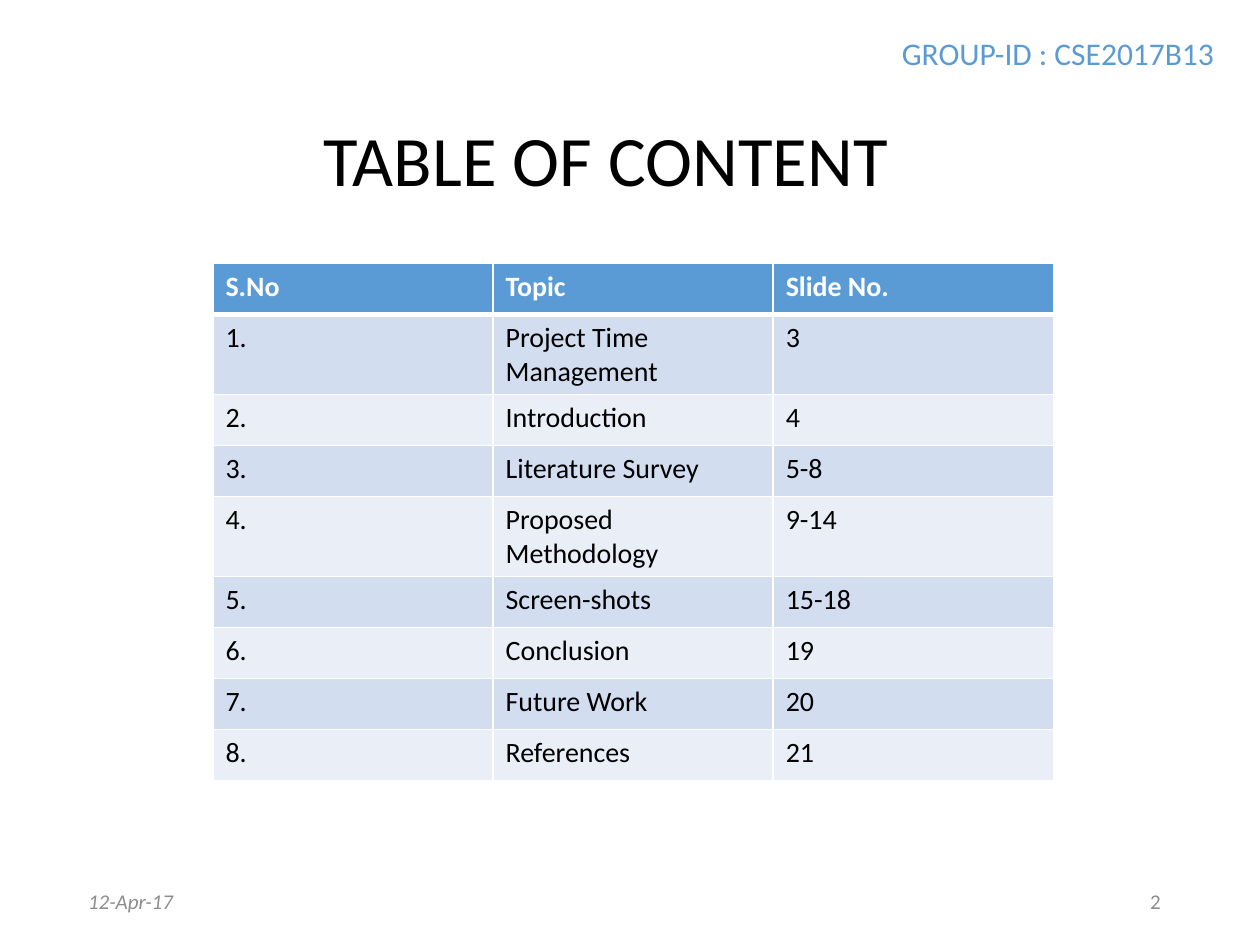
from dataclasses import dataclass

from lxml.etree import SubElement
from pptx import Presentation
from pptx.dml.color import RGBColor
from pptx.enum.text import MSO_ANCHOR, PP_ALIGN
from pptx.oxml.ns import qn
from pptx.util import Inches, Pt

BLUE = RGBColor(0x5B, 0x9B, 0xD5)
DARK_BAND = RGBColor(0xD2, 0xDE, 0xEF)
LIGHT_BAND = RGBColor(0xEA, 0xEF, 0xF7)
GRAY = RGBColor(0x8C, 0x8C, 0x8C)
BLACK = RGBColor(0, 0, 0)
WHITE = RGBColor(255, 255, 255)
FONT = "Calibri"


@dataclass
class Label:
    text: str
    left: float
    top: float
    width: float
    height: float
    size: float
    color: RGBColor
    align: PP_ALIGN = PP_ALIGN.LEFT
    anchor: MSO_ANCHOR = MSO_ANCHOR.MIDDLE
    italic: bool = False


@dataclass
class Entry:
    topic: str
    pages: str


LABELS = [
    Label("GROUP-ID : CSE2017B13", 7.06, 0.22, 2.73, 0.4, 18, BLUE,
          align=PP_ALIGN.JUSTIFY, anchor=MSO_ANCHOR.TOP),
    Label("12-Apr-17", 0.6, 7, 1.75, 0.3, 12, GRAY, italic=True),
    Label("2", 7.06, 6.95, 2.25, 0.4, 12, GRAY, align=PP_ALIGN.RIGHT),
]
HEADINGS = ["S.No", "Topic", "Slide No."]
ENTRIES = [
    Entry("Project Time Management", "3"),
    Entry("Introduction", "4"),
    Entry("Literature Survey", "5-8"),
    Entry("Proposed Methodology", "9-14"),
    Entry("Screen-shots", "15-18"),
    Entry("Conclusion", "19"),
    Entry("Future Work", "20"),
    Entry("References", "21"),
]


def write(frame, text: str, *, size: float, color: RGBColor,
          align: PP_ALIGN = PP_ALIGN.LEFT, bold: bool = False,
          italic: bool = False, spacing: float = 1.0) -> None:
    paragraph = frame.paragraphs[0]
    paragraph.alignment = align
    paragraph.line_spacing = spacing
    run = paragraph.add_run()
    run.text = text
    run.font.name = FONT
    run.font.size = Pt(size)
    run.font.bold = bold
    run.font.italic = italic
    run.font.color.rgb = color


def add_label(slide, label: Label) -> None:
    box = slide.shapes.add_textbox(Inches(label.left), Inches(label.top),
                                   Inches(label.width), Inches(label.height))
    box.text_frame.word_wrap = True
    box.text_frame.vertical_anchor = label.anchor
    write(box.text_frame, label.text, size=label.size, color=label.color,
          align=label.align, italic=label.italic)


def add_title(slide, text: str) -> None:
    title = slide.shapes.title
    title.left, title.top = Inches(2.23), Inches(0.56)
    title.width, title.height = Inches(5.16), Inches(1.09)
    title.text_frame.word_wrap = True
    title.text_frame.vertical_anchor = MSO_ANCHOR.BOTTOM
    write(title.text_frame, text, size=40.5, color=BLACK,
          align=PP_ALIGN.CENTER, spacing=0.9)


def set_borders(cell, top: float, bottom: float) -> None:
    properties = cell._tc.get_or_add_tcPr()
    for side, width in (("L", 1), ("R", 1), ("T", top), ("B", bottom)):
        line = SubElement(properties, qn(f"a:ln{side}"), w=str(Pt(width)))
        fill = SubElement(line, qn("a:solidFill"))
        SubElement(fill, qn("a:srgbClr"), val=str(WHITE))


def add_contents(slide, entries: list[Entry]) -> None:
    rows = [HEADINGS] + [[f"{number}.", entry.topic, entry.pages]
                         for number, entry in enumerate(entries, 1)]
    contents = slide.shapes.add_table(
        len(rows), len(HEADINGS), Inches(1.69), Inches(2.09),
        Inches(6.67), Inches(3.65)).table
    for row, texts in enumerate(rows):
        header = row == 0
        band = BLUE if header else DARK_BAND if row % 2 else LIGHT_BAND
        for column, text in enumerate(texts):
            cell = contents.cell(row, column)
            set_borders(cell, top=3 if row == 1 else 1,
                        bottom=3 if header else 1)
            cell.fill.solid()
            cell.fill.fore_color.rgb = band
            write(cell.text_frame, text, size=16, bold=header,
                  color=WHITE if header else BLACK)


def main() -> None:
    deck = Presentation()
    deck.slide_width, deck.slide_height = Inches(10), Inches(7.5)
    slide = deck.slides.add_slide(deck.slide_layouts[5])
    add_title(slide, "TABLE OF CONTENT")
    for label in LABELS:
        add_label(slide, label)
    add_contents(slide, ENTRIES)
    deck.save("out.pptx")


if __name__ == "__main__":
    main()
